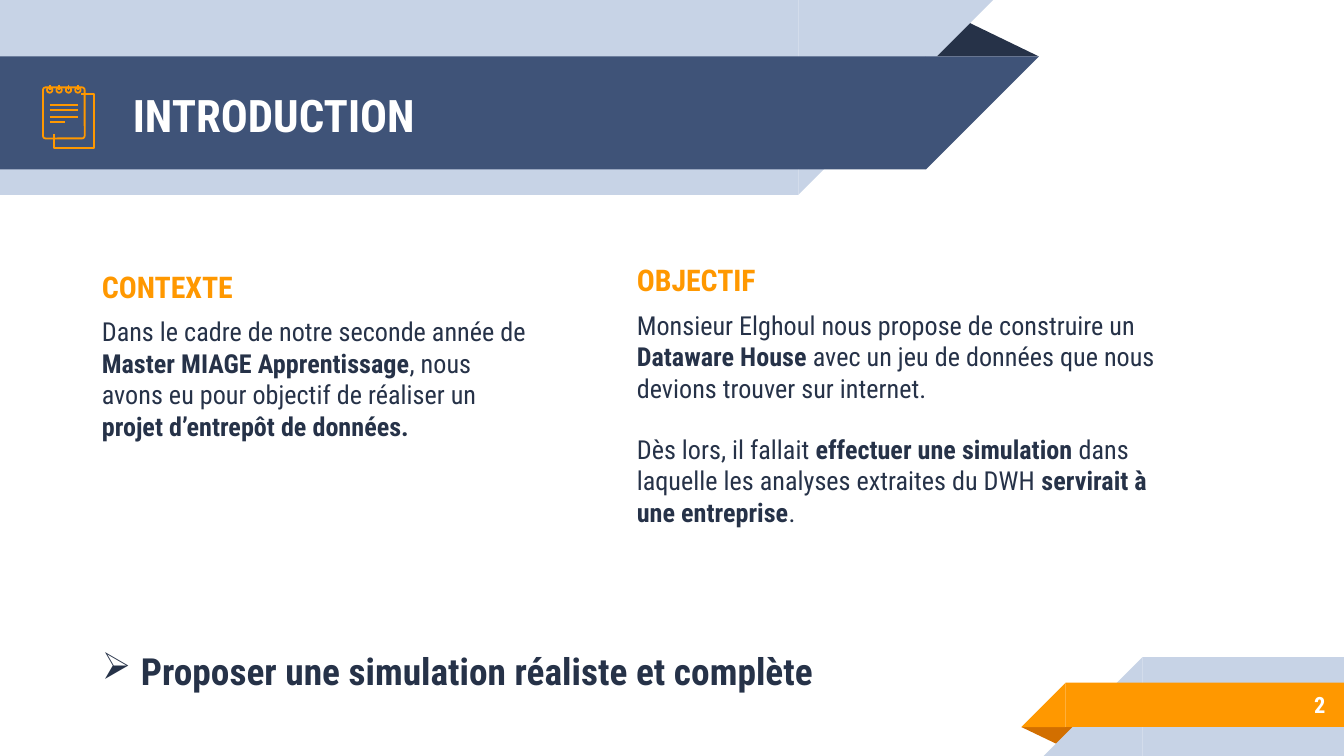
"""Build the introduction slide: ribbon title, two text columns, conclusion and page number."""
from lxml import etree
from pptx import Presentation, util as u
from pptx.dml.color import RGBColor
from pptx.enum import shapes as s, text as t
from pptx.oxml.ns import qn

WHITE = RGBColor(0xFF, 0xFF, 0xFF)
NAVY = RGBColor(0x26, 0x32, 0x48)
BLUE = RGBColor(0x3F, 0x53, 0x78)
PALE = RGBColor(0xC7, 0xD3, 0xE6)
ORANGE = RGBColor(0xFF, 0x98, 0x00)
RUST = RGBColor(0xD2, 0x6F, 0x00)
FONT = "Roboto Condensed"

presentation = Presentation()
presentation.slide_width = u.Inches(10)
presentation.slide_height = presentation.slide_width * 9 // 16
slide = presentation.slides.add_slide(presentation.slide_layouts[6])
CELL = presentation.slide_width // 100


def cells(*counts):
    """Turn counts of grid cells, 100 across the slide, into lengths."""
    return [u.Emu(round(count * CELL)) for count in counts]


def outline(shape):
    """Give an icon part its thin orange line and no shadow."""
    shape.line.color.rgb = ORANGE
    shape.line.width = u.Pt(0.96)
    if shape.shape_type == s.MSO_SHAPE_TYPE.LINE:
        etree.SubElement(shape._element.spPr, qn("a:effectLst"))
    else:
        shape.fill.background()
        shape.shadow.inherit = False


RECTANGLE = s.MSO_SHAPE.RECTANGLE
CORNER = s.MSO_SHAPE.RIGHT_TRIANGLE
FOLD = s.MSO_SHAPE.ISOSCELES_TRIANGLE
ribbons = [
    (FOLD, (68.8, 1.4, 8.5, 2.8), 0, NAVY),
    (RECTANGLE, (0, 0, 59.4, 14.5), 0, PALE),
    (CORNER, (59.4, 0, 14.5, 14.5), 90, PALE),
    (RECTANGLE, (0, 4.2, 68.9, 8.4), 0, BLUE),
    (CORNER, (68.9, 4.2, 8.4, 8.4), 90, BLUE),
    (FOLD, (76, 54.1, 4.3, 1.4), 180, RUST),
    (RECTANGLE, (85, 48.9, 15, 7.35), 0, PALE),
    (CORNER, (77.65, 48.9, 7.35, 7.35), 270, PALE),
    (RECTANGLE, (79.3, 50.8, 20.7, 3.3), 0, ORANGE),
    (CORNER, (76, 50.8, 3.3, 3.3), 270, ORANGE),
]
for kind, box, rotation, color in ribbons:
    shape = slide.shapes.add_shape(kind, *cells(*box))
    shape.rotation = rotation
    shape.shadow.inherit = False
    shape.fill.solid()
    shape.fill.fore_color.rgb = color
    shape.line.fill.background()
    if kind == FOLD:
        shape.adjustments[0] = 0.32

TOP, MIDDLE = t.MSO_ANCHOR.TOP, t.MSO_ANCHOR.MIDDLE
LEFT, RIGHT, JUSTIFY = t.PP_ALIGN.LEFT, t.PP_ALIGN.RIGHT, t.PP_ALIGN.JUSTIFY
BOLD, PLAIN = True, False
text_boxes = [
    ((8.9, 4.3, 57.5, 8.4), MIDDLE, LEFT, [(24, WHITE, 0, 0, [("INTRODUCTION", BOLD)])]),
    ((46.4, 18.5, 41.5, 22.5), TOP, LEFT, [
        (16, ORANGE, 6, 0, [("OBJECTIF", BOLD)]),
        (14, NAVY, 6, 10, [
            ("Monsieur Elghoul nous propose de construire un ", PLAIN),
            ("Dataware House ", BOLD),
            ("avec un jeu de données que nous devions trouver sur internet.", PLAIN)]),
        (14, NAVY, 6, 10, [
            ("Dès lors, il fallait ", PLAIN),
            ("effectuer une simulation ", BOLD),
            ("dans laquelle les analyses extraites du DWH ", PLAIN),
            ("servirait à une entreprise", BOLD),
            (".", PLAIN)])]),
    ((6.6, 19, 33.7, 19.2), TOP, LEFT, [
        (16, ORANGE, 6, 0, [("CONTEXTE", BOLD)]),
        (14, NAVY, 6, 0, [
            ("Dans le cadre de notre seconde année de ", PLAIN),
            ("Master MIAGE Apprentissage", BOLD),
            (", nous avons eu pour objectif de réaliser un ", PLAIN),
            ("projet d’entrepôt de données.", BOLD)])]),
    ((83.3, 50.7, 16.3, 3.5), MIDDLE, RIGHT, [(12, WHITE, 0, 0, [("2", BOLD)])]),
    ((6.6, 47.2, 67.5, 6.7), TOP, JUSTIFY, [
        (20, NAVY, 0, 0, [("Proposer une simulation réaliste et complète", BOLD)])]),
]
for box, anchor, alignment, paragraphs in text_boxes:
    frame = slide.shapes.add_textbox(*cells(*box)).text_frame
    frame.word_wrap = True
    frame.vertical_anchor = anchor
    frame.margin_left, frame.margin_top, frame.margin_right, frame.margin_bottom = cells(1, 1, 1, 1)
    for index, (size, color, before, after, pieces) in enumerate(paragraphs):
        paragraph = frame.add_paragraph() if index else frame.paragraphs[0]
        paragraph.alignment = alignment
        paragraph.space_before, paragraph.space_after = u.Pt(before), u.Pt(after)
        for words, bold in pieces:
            run = paragraph.add_run()
            run.text = words
            run.font.name, run.font.size, run.font.bold = FONT, u.Pt(size), bold
            run.font.color.rgb = color

indent = cells(2.9)[0]
properties = paragraph._p.get_or_add_pPr()
properties.set("marL", str(indent))
properties.set("indent", str(-indent))
bullet_color = etree.SubElement(properties, qn("a:buClr"))
etree.SubElement(bullet_color, qn("a:srgbClr")).set("val", str(NAVY))
etree.SubElement(properties, qn("a:buChar")).set("char", "➢")

notepad = slide.shapes.add_group_shape().shapes
back_edge = [(3.5, 10.5), (3.55, 10.6), (3.7, 10.7), (6.5, 10.7), (6.6, 10.6),
             (6.6, 7), (6.55, 6.9), (6.5, 6.9)]
builder = notepad.build_freeform(*back_edge[0], scale=CELL)
builder.add_line_segments(back_edge[1:], close=False)
outline(builder.convert_to_shape())
cover = notepad.add_shape(s.MSO_SHAPE.ROUNDED_RECTANGLE, *cells(3.2, 6.5, 3.1, 3.8))
cover.adjustments[0] = 0.06
outline(cover)

strokes = [(3.7, y, right, y) for y, right in [(7.8, 5.8), (8.2, 5.8), (8.7, 5.8), (9.1, 4.8)]]
for ring in range(4):
    center = 3.7 + 0.7 * ring
    outline(notepad.add_shape(s.MSO_SHAPE.OVAL, *cells(center - 0.2, 6.5, 0.4, 0.4)))
    strokes.append((center, 6.3, center, 6.7))
for stroke in strokes:
    outline(notepad.add_connector(s.MSO_CONNECTOR.STRAIGHT, *cells(*stroke)))

presentation.save("out.pptx")
